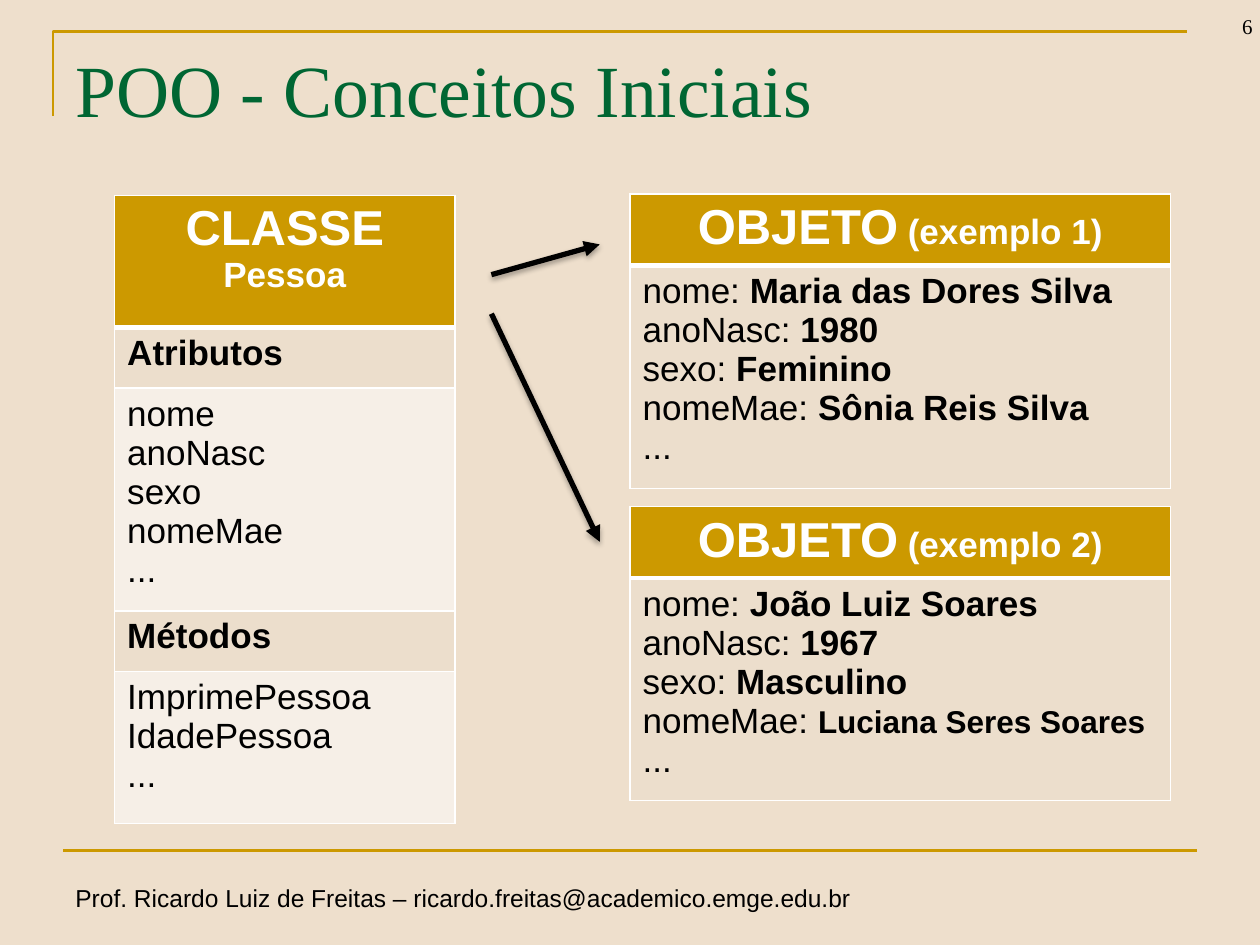
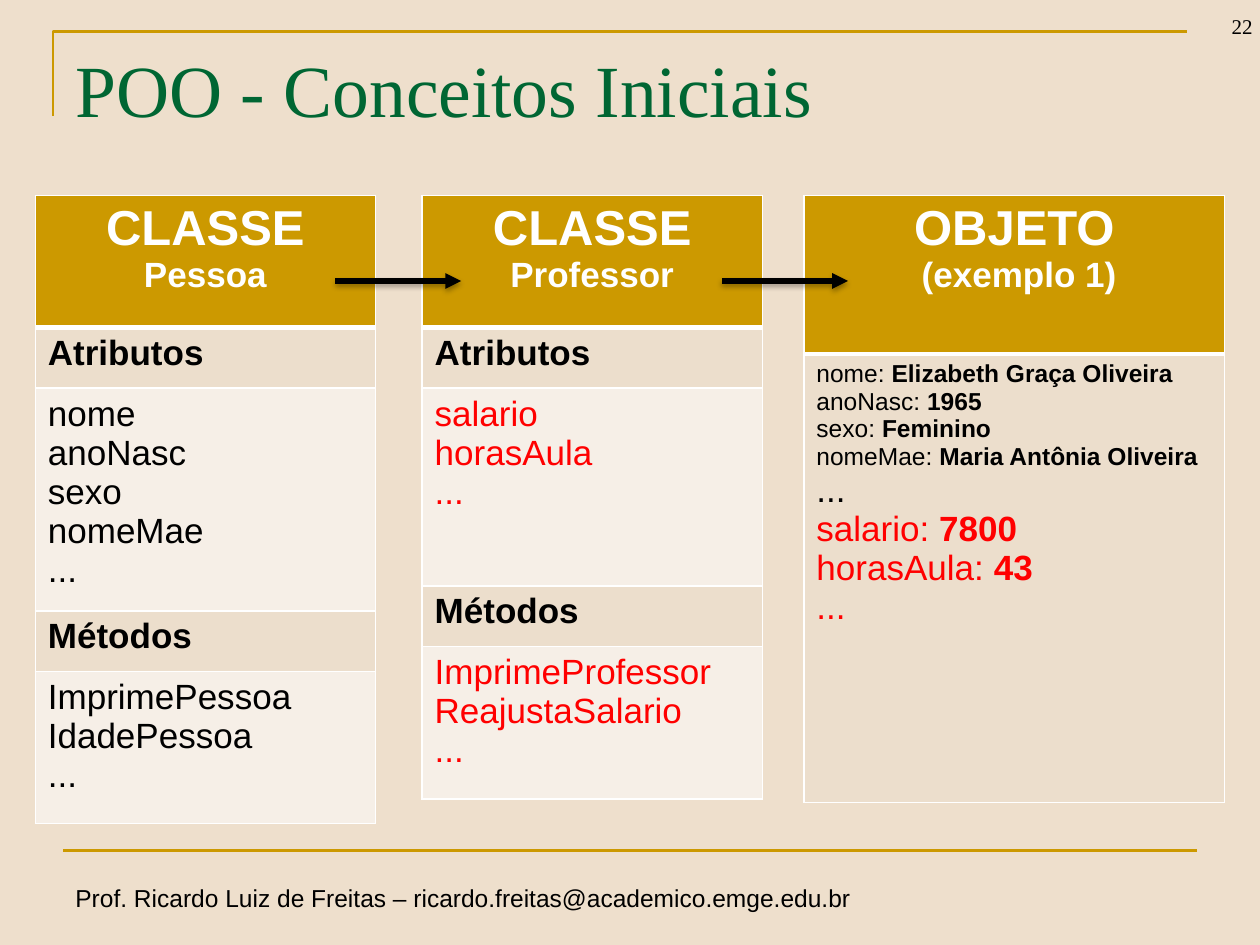
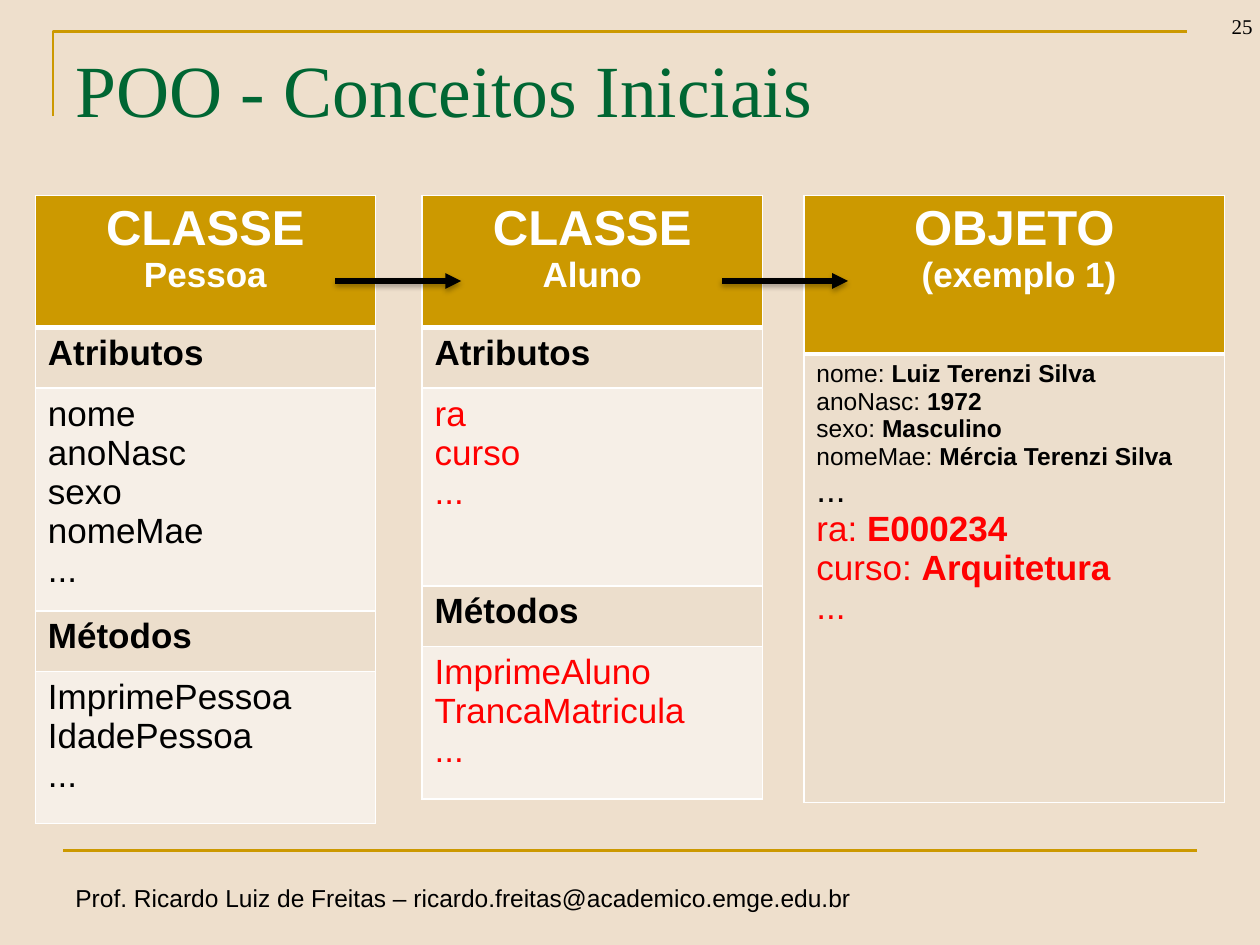
from lxml import etree
from pptx import Presentation
from pptx import util as u
from pptx.dml.color import RGBColor
from pptx.enum import shapes, text
from pptx.oxml import parse_xml
from pptx.oxml.ns import nsdecls, qn

COLORS = {"bg": "EEDFCC", "gold": "CC9900", "title": "006633", "band": "ECDECC",
          "light": "F6EFE7", "white": "FFFFFF", "black": "000000", "new": "FF0000"}
SANS, SERIF = "Arial", "Times New Roman"
TITLE = "POO - Conceitos Iniciais"
FOOTER = "Prof. Ricardo Luiz de Freitas – ricardo.freitas@academico.emge.edu.br"
CLASS_WIDTH, CLASS_ROWS = 2.7, [1.05, 0.48, 1.57, 0.48, 1.21]
TABLE_TOP = 1.55
PERSON = ("Pessoa", ["nome", "anoNasc", "sexo", "nomeMae", "..."],
          ["ImprimePessoa", "IdadePessoa", "..."])


def rgb(name):
    return RGBColor.from_string(COLORS[name])


# Text
def add_run(p, content, size, color="black", bold=False, font=SANS):
    r = p.add_run()
    r.text = content
    r.font.color.rgb = rgb(color)
    for key, value in {"size": u.Pt(size), "bold": bold, "name": font}.items():
        setattr(r.font, key, value)


def add_text(s, box, content, size, color="black", font=SANS, **frame):
    tf = s.shapes.add_textbox(*map(u.Inches, box)).text_frame
    for key, value in {"word_wrap": True, **frame}.items():
        setattr(tf, key, value)
    p = tf.paragraphs[0]
    add_run(p, content, size, color, font=font)
    return p


def fill_cell(cell, lines, fill, center=False):
    """Each line is a list of (text, size, color, bold) runs."""
    cell.fill.solid()
    cell.fill.fore_color.rgb = rgb(fill)
    tf = cell.text_frame
    for i, runs in enumerate(lines):
        p = tf.add_paragraph() if i else tf.paragraphs[0]
        p.alignment = text.PP_ALIGN.CENTER if center else text.PP_ALIGN.LEFT
        for run in runs:
            add_run(p, *run)


def plain(lines, color="black", bold=False):
    return [[(line, 20, color, bold)] for line in lines]


def pair(label, value, size=20, color="black", value_size=None):
    return [(f"{label}: ", size, color, False),
            (value, value_size or size, color, True)]


# Lines
def add_line(s, start, end, color="gold", width=1.5):
    ends = map(u.Inches, (*start, *end))
    c = s.shapes.add_connector(shapes.MSO_CONNECTOR.STRAIGHT, *ends)
    c.line.color.rgb = rgb(color)
    c.line.width = u.Pt(width)
    effects = etree.SubElement(c._element.spPr, qn("a:effectLst"))
    return c, effects


def add_arrow(s, start, end):
    c, effects = add_line(s, start, end, "black", 3)
    etree.SubElement(c.line._get_or_add_ln(), qn("a:tailEnd"), type="triangle")
    effects.append(parse_xml(
        f'<a:outerShdw {nsdecls("a")} blurRad="40000" dist="23000" dir="5400000" '
        f'rotWithShape="0"><a:srgbClr val="{COLORS["black"]}">'
        '<a:alpha val="35000"/></a:srgbClr></a:outerShdw>'))


# Tables
def set_borders(cell, **widths):
    pr = cell._tc.get_or_add_tcPr()
    for i, side in enumerate("LRTB"):
        pr.insert(i, parse_xml(
            f'<a:ln{side} {nsdecls("a")} w="{u.Pt(widths.get(side, 1))}"><a:solidFill>'
            f'<a:srgbClr val="{COLORS["white"]}"/></a:solidFill></a:ln{side}>'))


def add_column(s, left, top, width, heights, contents):
    """One-column table: a gold header, then alternating bands."""
    box = map(u.Inches, (left, top, width, sum(heights)))
    table = s.shapes.add_table(len(heights), 1, *box).table
    table.horz_banding = False
    for i, (height, lines) in enumerate(zip(heights, contents)):
        table.rows[i].height = u.Inches(height)
        cell = table.cell(i, 0)
        fill = "gold" if i == 0 else "band" if i % 2 else "light"
        fill_cell(cell, lines, fill, center=i == 0)
        set_borders(cell, T=3 if i == 1 else 1, B=3 if i == 0 else 1)


def add_class(s, left, name, attributes, methods, color="black"):
    header = [[("CLASSE", 28, "white", True)], [(name, 20, "white", True)]]
    add_column(s, left, TABLE_TOP, CLASS_WIDTH, CLASS_ROWS,
               [header, plain(["Atributos"], bold=True), plain(attributes, color),
                plain(["Métodos"], bold=True), plain(methods, color)])


def add_example(s, top, number, lines):
    header = [[("OBJETO", 28, "white", True),
               (f" (exemplo {number})", 20, "white", True)]]
    add_column(s, 5, top, 4.29, [0.52, 1.65], [header, lines + plain(["..."])])


def add_subclass_object(s, inherited, own):
    header = [[("OBJETO", 28, "white", True)], [(" (exemplo 1)", 20, "white", True)]]
    lines = ([pair(*field, size=14) for field in inherited] + plain(["..."])
             + [pair(*field, color="new") for field in own] + plain(["..."], "new"))
    add_column(s, 6.38, TABLE_TOP, 3.34, [1.26, 3.56], [header, lines])


def person_fields(*values):
    return list(zip(PERSON[1], values))


# Slides
def add_slide(prs, number):
    s = prs.slides.add_slide(prs.slide_layouts[6])
    s.background.fill.solid()
    s.background.fill.fore_color.rgb = rgb("bg")
    # Corner rule and footer rule
    fb = s.shapes.build_freeform(u.Inches(0.42), u.Inches(0.92))
    fb.add_line_segments([(u.Inches(0.42), u.Inches(0.25)),
                          (u.Inches(9.42), u.Inches(0.25))], close=False)
    sp = fb.convert_to_shape()
    sp.shadow.inherit = False
    sp.fill.background()
    sp.line.color.rgb = rgb("gold")
    sp.line.width = u.Pt(1.5)
    add_line(s, (0.5, 6.75), (9.5, 6.75))
    # Footer, title and number
    add_text(s, (0.5, 6.96, 6.38, 0.34), FOOTER, 14, word_wrap=False)
    add_text(s, (0.5, 0.3, 9, 1.25), TITLE, 42, "title", SERIF)
    p = add_text(s, (9.29, -0.14, 0.75, 0.5), str(number), 12, font=SERIF,
                 vertical_anchor=text.MSO_ANCHOR.BOTTOM)
    p.alignment = text.PP_ALIGN.RIGHT
    return s


def add_inheritance_slide(prs, number, subclass, inherited, own):
    s = add_slide(prs, number)
    add_class(s, 0.28, *PERSON)
    add_subclass_object(s, inherited, own)
    add_class(s, 3.35, *subclass, color="new")
    for left in (2.66, 5.73):
        add_arrow(s, (left, 2.23), (left + 1, 2.23))


def main():
    prs = Presentation()
    prs.slide_width, prs.slide_height = u.Inches(10), u.Inches(7.5)

    # Class and two objects
    s = add_slide(prs, 6)
    add_class(s, 0.91, *PERSON)
    maria = person_fields("Maria das Dores Silva", "1980", "Feminino", "Sônia Reis Silva")
    joao = person_fields("João Luiz Soares", "1967", "Masculino")
    add_example(s, 1.54, 1, [pair(*field) for field in maria])
    add_example(s, 4.02, 2, [pair(*field) for field in joao]
                + [pair("nomeMae", "Luciana Seres Soares", value_size=18)])
    add_arrow(s, (3.9, 2.18), (4.76, 1.94))
    add_arrow(s, (3.9, 2.49), (4.76, 4.3))

    # Subclasses
    add_inheritance_slide(
        prs, 22,
        ("Professor", ["salario", "horasAula", "..."],
         ["ImprimeProfessor", "ReajustaSalario", "..."]),
        person_fields("Elizabeth Graça Oliveira", "1965", "Feminino",
                      "Maria Antônia Oliveira"),
        [("salario", "7800"), ("horasAula", "43")])
    add_inheritance_slide(
        prs, 25,
        ("Aluno", ["ra", "curso", "..."], ["ImprimeAluno", "TrancaMatricula", "..."]),
        person_fields("Luiz Terenzi Silva", "1972", "Masculino", "Mércia Terenzi Silva"),
        [("ra", "E000234"), ("curso", "Arquitetura")])

    prs.save("out.pptx")


if __name__ == "__main__":
    main()
